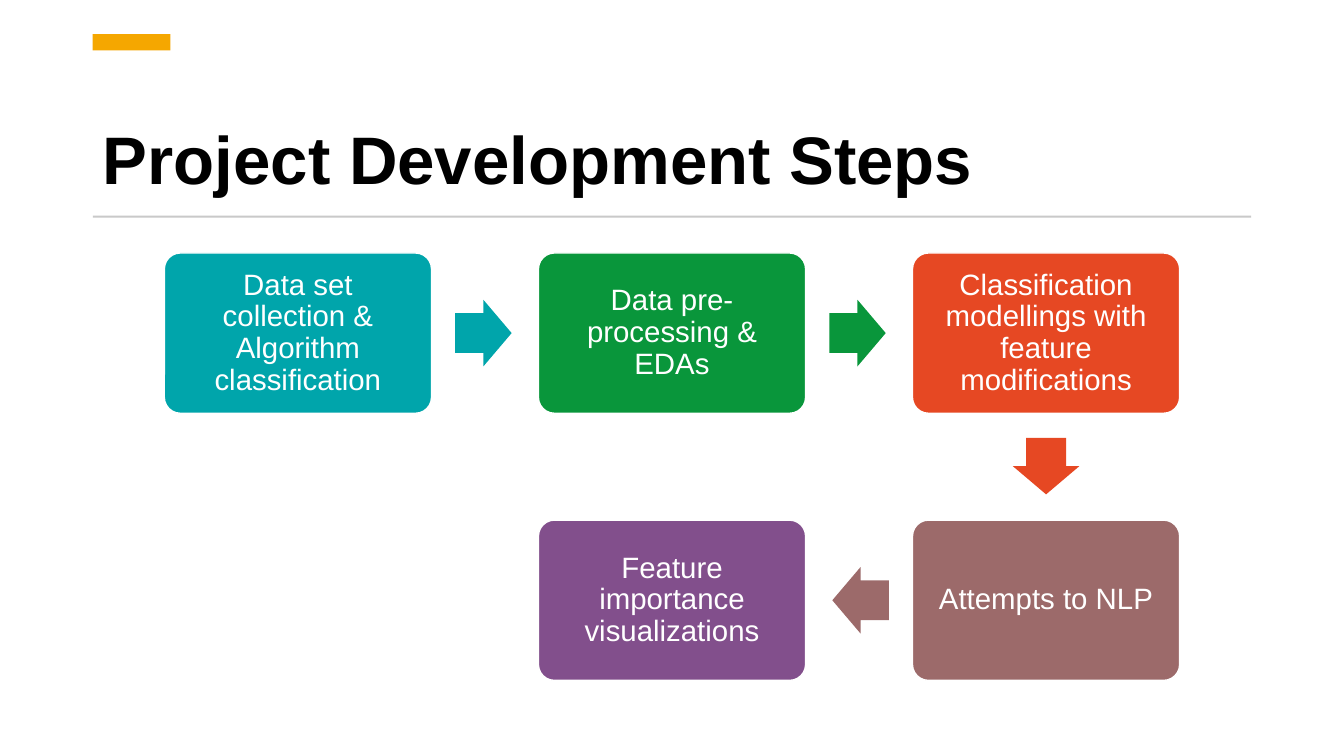
"""Build the project development steps slide."""
from dataclasses import dataclass

from pptx import Presentation
from pptx import util as u
from pptx.dml.color import RGBColor
from pptx.enum import shapes, text

FONT = "Arial"
BOX_WIDTH, BOX_HEIGHT = 2.65, 1.59
ARROW_WIDTH, ARROW_HEIGHT = 0.56, 0.66
GRID_LEFT, GRID_TOP = 1.63, 2.51
COLUMN_PITCH, ROW_PITCH = 3.71, 2.65
ARROW_OFFSETS = {0: (1.84, 0), 90: (0, 1.32), 180: (-1.84, 0)}


@dataclass
class Step:
    """A step box and the direction of the arrow that leaves it."""
    label: str
    column: int
    row: int
    color: str
    arrow_rotation: int | None = None


STEPS = [
    Step("Data set collection & Algorithm classification", 0, 0, "00A5AB", 0),
    Step("Data pre-processing & EDAs", 1, 0, "09963B", 0),
    Step("Classification modellings with feature modifications", 2, 0, "E64823", 90),
    Step("Attempts to NLP", 2, 1, "9C6A6A", 180),
    Step("Feature importance visualizations", 1, 1, "824F8C"),
]


def rgb(color: str) -> RGBColor:
    """Turn a hex string into a colour."""
    return RGBColor.from_string(color)


def add_filled(page, kind, left: float, top: float, width: float, height: float, color: str):
    """Add a preset shape with a solid fill and neither line nor shadow."""
    shape = page.shapes.add_shape(
        kind, u.Inches(left), u.Inches(top), u.Inches(width), u.Inches(height))
    shape.shadow.inherit = False
    shape.fill.solid()
    shape.fill.fore_color.rgb = rgb(color)
    shape.line.fill.background()
    return shape


def write(frame, words: str, size: float, color: str, align, bold: bool = False) -> None:
    """Write one formatted paragraph in a text frame."""
    frame.text = words
    frame.word_wrap = True
    frame.auto_size = text.MSO_AUTO_SIZE.NONE
    para = frame.paragraphs[0]
    para.alignment = align
    para.line_spacing = 0.9
    para.space_before = u.Pt(0)
    for span in para.runs:
        span.font.name = FONT
        span.font.size = u.Pt(size)
        span.font.bold = bold
        span.font.color.rgb = rgb(color)


def add_title(page) -> None:
    """Place and fill the title placeholder."""
    title = page.shapes.title
    title.left, title.top = u.Inches(0.92), u.Inches(0.75)
    title.width, title.height = u.Inches(11.49), u.Inches(1.27)
    title.text_frame.vertical_anchor = text.MSO_ANCHOR.BOTTOM
    write(title.text_frame, "Project Development Steps", 48, "000000",
          text.PP_ALIGN.LEFT, bold=True)


def add_step(page, step: Step) -> None:
    """Draw a step box and the arrow to the next step."""
    left = GRID_LEFT + step.column * COLUMN_PITCH
    top = GRID_TOP + step.row * ROW_PITCH
    box = add_filled(page, shapes.MSO_SHAPE.ROUNDED_RECTANGLE,
                     left, top, BOX_WIDTH, BOX_HEIGHT, step.color)
    box.adjustments[0] = 0.1
    box.line.color.rgb = rgb("FFFFFF")
    box.line.width = u.Pt(1)
    frame = box.text_frame
    frame.margin_left = frame.margin_right = u.Inches(0.13)
    frame.margin_top = frame.margin_bottom = u.Inches(0.1)
    frame.vertical_anchor = text.MSO_ANCHOR.MIDDLE
    write(frame, step.label, 21, "FFFFFF", text.PP_ALIGN.CENTER)

    if step.arrow_rotation is None:
        return
    across, down = ARROW_OFFSETS[step.arrow_rotation]
    arrow = add_filled(page, shapes.MSO_SHAPE.RIGHT_ARROW,
                       left + (BOX_WIDTH - ARROW_WIDTH) / 2 + across,
                       top + (BOX_HEIGHT - ARROW_HEIGHT) / 2 + down,
                       ARROW_WIDTH, ARROW_HEIGHT, step.color)
    arrow.adjustments[0] = 0.6
    arrow.adjustments[1] = 0.5
    arrow.rotation = step.arrow_rotation


def main() -> None:
    """Build and save the deck."""
    deck = Presentation()
    deck.slide_width, deck.slide_height = u.Inches(13.33), u.Inches(7.5)
    page = deck.slides.add_slide(deck.slide_layouts.get_by_name("Title Only"))
    add_title(page)
    add_filled(page, shapes.MSO_SHAPE.RECTANGLE, 0.92, 0.34, 0.77, 0.16, "F5A700")
    add_filled(page, shapes.MSO_SHAPE.RECTANGLE, 0.92, 2.14, 11.49, 0.02, "C9C9C9")
    for step in STEPS:
        add_step(page, step)
    deck.save("out.pptx")


if __name__ == "__main__":
    main()
